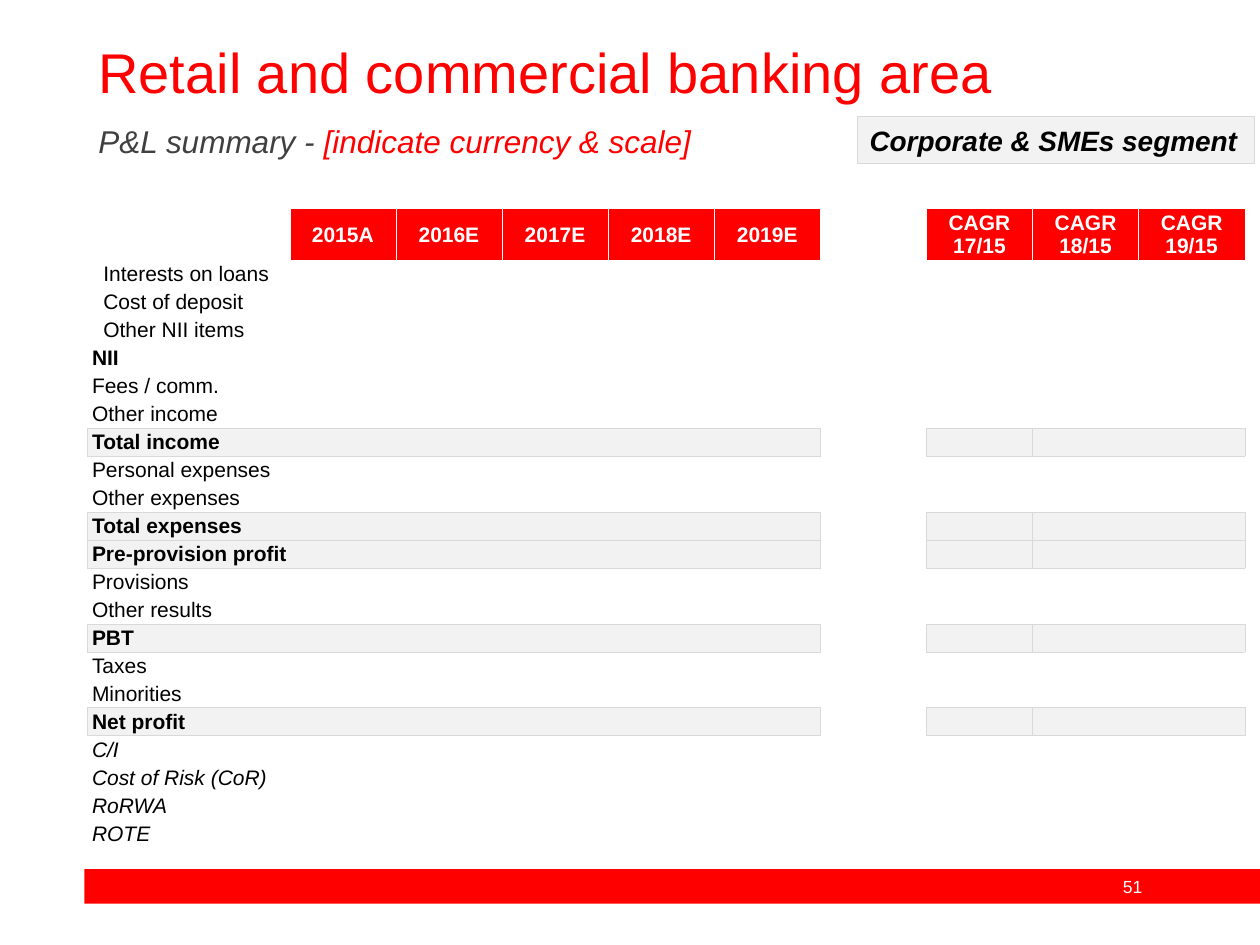
from lxml.etree import SubElement
from pptx import Presentation
from pptx.dml.color import RGBColor
from pptx.enum.shapes import MSO_SHAPE as Shape
from pptx.enum.text import MSO_ANCHOR as Anchor, MSO_AUTO_SIZE as AutoSize, PP_ALIGN as Align
from pptx.oxml.ns import qn
from pptx.util import Pt

RED, WHITE, BLACK, DARK = "FF0000", "FFFFFF", "000000", "404040"
SHADE, EDGE = "F2F2F2", "D9D9D9"
NO_STYLE = "{2D5ABB26-0587-4C30-8999-92F81FD0307C}"

HEADERS = ["", "2015A", "2016E", "2017E", "2018E", "2019E", "",
           "CAGR 17/15", "CAGR 18/15", "CAGR 19/15"]
# Each row: label, kind
ROWS = [
    ("Interests on loans", "detail"), ("Cost of deposit", "detail"),
    ("Other NII items", "detail"), ("NII", "subtotal"),
    ("Fees / comm.", "item"), ("Other income", "item"),
    ("Total income", "total"),
    ("Personal expenses", "item"), ("Other expenses", "item"),
    ("Total expenses", "total"), ("Pre-provision profit", "total"),
    ("Provisions", "item"), ("Other results", "item"), ("PBT", "total"),
    ("Taxes", "item"), ("Minorities", "item"), ("Net profit", "total"),
    ("C/I", "ratio"), ("Cost of Risk (CoR)", "ratio"),
    ("RoRWA", "ratio"), ("ROTE", "ratio"),
]
GAP_COLUMN = 6
BLOCK_STARTS, BLOCK_ENDS = (0, 7), (5, 9)


def color(hex_code):
    return RGBColor.from_string(hex_code)


def style_run(run, size, hex_code, bold=False, italic=False):
    font = run.font
    font.name, font.size = "Arial", Pt(size)
    font.bold, font.italic = bold, italic
    font.color.rgb = color(hex_code)


def place(part, box):
    part.left, part.top, part.width, part.height = (Pt(length) for length in box)


def add_heading(holder, box, pieces, size, italic=False):
    """Fill a placeholder with one line made of (text, colour) pieces."""
    place(holder, box)
    frame = holder.text_frame
    frame.auto_size = AutoSize.NONE
    frame.vertical_anchor = Anchor.MIDDLE
    line = frame.paragraphs[0]
    properties = line._p.get_or_add_pPr()
    properties.set("marL", "0")
    properties.set("indent", "0")
    SubElement(properties, qn("a:buNone"))
    line.alignment, line.line_spacing, line.space_before = Align.LEFT, 0.9, Pt(0)
    for text, hex_code in pieces:
        run = line.add_run()
        run.text = text
        style_run(run, size, hex_code, italic=italic)


def add_bar(slide, box, fill, line=None):
    bar = slide.shapes.add_shape(Shape.RECTANGLE, *(Pt(length) for length in box))
    bar.shadow.inherit = False
    bar.fill.solid()
    bar.fill.fore_color.rgb = color(fill)
    if line:
        bar.line.color.rgb = color(line)
        bar.line.width = Pt(0.75)
    else:
        bar.line.fill.background()
    return bar


def add_segment_tag(slide, box):
    frame = add_bar(slide, box, SHADE, EDGE).text_frame
    frame.word_wrap = False
    frame.text = "Corporate & SMEs segment"
    frame.paragraphs[0].alignment = Align.LEFT
    style_run(frame.paragraphs[0].runs[0], 16, BLACK, bold=True, italic=True)


def add_footer(slide, box):
    left, top, width, height = box
    add_bar(slide, box, RED)
    page_number = slide.shapes.add_textbox(Pt(left + 579), Pt(top), Pt(40), Pt(height))
    frame = page_number.text_frame
    frame.word_wrap = True
    frame.vertical_anchor = Anchor.MIDDLE
    frame.text = "51"
    frame.paragraphs[0].alignment = Align.CENTER
    style_run(frame.paragraphs[0].runs[0], 10, WHITE)


def format_cell(cell, fill=None, sides="", edge=EDGE):
    """Set margins, borders (sides out of L, R, T, B) and fill."""
    cell.vertical_anchor = Anchor.MIDDLE
    cell.margin_left = cell.margin_right = cell.margin_top = Pt(0.75)
    cell.margin_bottom = Pt(0)
    for side in sides:
        border = SubElement(cell._tc.get_or_add_tcPr(), qn(f"a:ln{side}"), w=str(Pt(0.25)))
        paint = SubElement(border, qn("a:solidFill"))
        SubElement(paint, qn("a:srgbClr"), val=edge)
    if fill:
        cell.fill.solid()
        cell.fill.fore_color.rgb = color(fill)
    else:
        cell.fill.background()


def write_cell(cell, text, hex_code, bold=False, italic=False):
    cell.text_frame.text = text
    line = cell.text_frame.paragraphs[0]
    if text:
        style_run(line.runs[0], 12, hex_code, bold, italic)
    else:  # keeps empty rows from growing
        SubElement(line._p, qn("a:endParaRPr"), sz="1200")
    return line


def add_pl_table(slide, box):
    frame = slide.shapes.add_table(len(ROWS) + 1, len(HEADERS),
                                   *(Pt(length) for length in box))
    table = frame.table
    table.first_row = table.horz_banding = False
    table._tbl.tblPr.find(qn("a:tableStyleId")).text = NO_STYLE

    label_width, header_height, row_height = 116, 26, 16
    value_width = (box[2] - label_width) / (len(HEADERS) - 1)
    for index, column in enumerate(table.columns):
        column.width = Pt(value_width if index else label_width)
    for index, row in enumerate(table.rows):
        row.height = Pt(row_height if index else header_height)

    # Year and growth headers
    for column, header in enumerate(HEADERS):
        cell = table.cell(0, column)
        format_cell(cell, RED if header else None, "LRTB" if column else "R", WHITE)
        write_cell(cell, header, WHITE, bold=True).alignment = Align.CENTER

    # P&L lines, with totals shaded on both sides of the gap column
    for row, (label, kind) in enumerate(ROWS, start=1):
        for column in range(len(HEADERS)):
            cell = table.cell(row, column)
            if kind == "total" and column != GAP_COLUMN:
                sides = ("L" if column in BLOCK_STARTS else "") + (
                    "R" if column in BLOCK_ENDS else "") + "TB"
                format_cell(cell, SHADE, sides)
            else:
                format_cell(cell)
            line = write_cell(cell, "" if column else label, BLACK,
                              bold=kind in ("total", "subtotal"), italic=kind == "ratio")
            if column == 0:
                cell.margin_left = Pt(3)
                if kind == "detail":
                    line.level = 1
                    line._p.get_or_add_pPr().set("marL", str(Pt(6.5)))


def main():
    deck = Presentation()
    deck.slide_width, deck.slide_height = Pt(720), Pt(540)
    slide = deck.slides.add_slide(deck.slide_layouts[1])
    title, subtitle = slide.placeholders

    add_footer(slide, (48.2, 496.6, 671.8, 19.8))
    add_heading(title, (49, 22.3, 620.6, 41),
                [("Retail and commercial banking area", RED)], 32)
    add_heading(subtitle, (49, 67.3, 621.4, 29.5),
                [("P&L summary - ", DARK), ("[indicate currency & scale]", RED)],
                18, italic=True)
    add_segment_tag(slide, (489.8, 66.6, 227.2, 26.7))
    add_pl_table(slide, (49.6, 119, 661.7, 362))
    deck.save("out.pptx")


if __name__ == "__main__":
    main()
